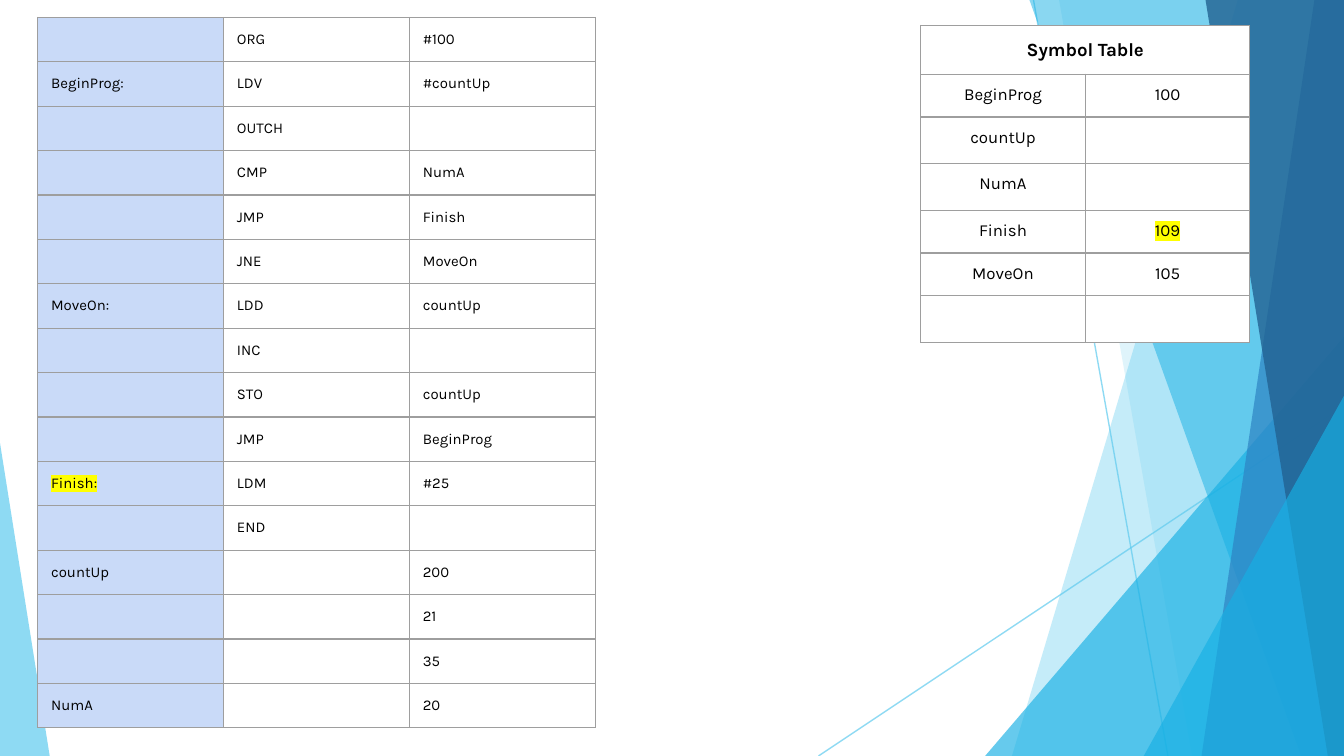
import dataclasses

import lxml.etree
import pptx
import pptx.dml.color
import pptx.enum.shapes
import pptx.enum.text
import pptx.oxml.ns
import pptx.util

Inches = pptx.util.Inches
qn = pptx.oxml.ns.qn


@dataclasses.dataclass(frozen=True)
class Theme:
    """Colours, type sizes and line weights of the slide."""
    font: str = "Karla"
    ink: str = "000000"
    paper: str = "FFFFFF"
    label_fill: str = "C9DAF8"
    marker: str = "FFFF00"
    rule: str = "9E9E9E"
    sky: str = "5FCBEF"
    cyan: str = "17B0E4"
    blue: str = "2E83C3"
    navy: str = "226292"
    code_size: float = 8
    symbol_size: float = 9
    heading_size: float = 10
    rule_width: float = 0.75


@dataclasses.dataclass(frozen=True)
class Box:
    """A region in inches."""
    left: float
    top: float
    width: float
    height: float


THEME = Theme()
SLIDE = Box(0, 0, 10, 10 * 9 / 16)
PROGRAM = [
    ("", "ORG", "#100"),
    ("BeginProg:", "LDV", "#countUp"),
    ("", "OUTCH", ""),
    ("", "CMP", "NumA"),
    ("", "JMP", "Finish"),
    ("", "JNE", "MoveOn"),
    ("MoveOn:", "LDD", "countUp"),
    ("", "INC", ""),
    ("", "STO", "countUp"),
    ("", "JMP", "BeginProg"),
    ("Finish:", "LDM", "#25"),
    ("", "END", ""),
    ("countUp", "", "200"),
    ("", "", "21"),
    ("", "", "35"),
    ("NumA", "", "20"),
]
SYMBOLS = [
    ("BeginProg", "100"),
    ("countUp", ""),
    ("NumA", ""),
    ("Finish", "109"),
    ("MoveOn", "105"),
    ("", ""),
]
MARKED = {"Finish:", "109"}


def rgb(colour):
    """Return the RGB colour for a hex string."""
    return pptx.dml.color.RGBColor.from_string(colour)


def paint(fill, colour, opacity):
    """Give a fill a solid colour with an opacity in percent."""
    fill.solid()
    fill.fore_color.rgb = rgb(colour)
    tint = fill._xPr.find(qn("a:solidFill"))[0]
    lxml.etree.SubElement(tint, qn("a:alpha"), val=str(opacity * 1000))


def add_ray(slide, start, end):
    """Draw a thin translucent line between two points."""
    ray = slide.shapes.add_connector(
        pptx.enum.shapes.MSO_CONNECTOR.STRAIGHT, *map(Inches, start + end))
    paint(ray.line.fill, THEME.sky, 70)
    ray.line.width = pptx.util.Pt(THEME.rule_width)
    lxml.etree.SubElement(ray._element.spPr, qn("a:effectLst"))


def finish_facet(facet, colour, opacity):
    """Fill a facet and drop its outline and shadow."""
    paint(facet.fill, colour, opacity)
    facet.line.fill.background()
    facet.shadow.inherit = False


def add_band(slide, box, top_x, bottom_x, colour, opacity):
    """Fill the box to the right of a slanted edge."""
    right, bottom = box.left + box.width, box.top + box.height
    corners = [(box.left + top_x, box.top), (right, box.top),
               (right, bottom), (box.left + bottom_x, bottom)]
    start, *others = [(Inches(x), Inches(y)) for x, y in corners]
    outline = slide.shapes.build_freeform(*start)
    outline.add_line_segments(others)
    finish_facet(outline.convert_to_shape(), colour, opacity)


def add_wedge(slide, box, apex, colour, opacity):
    """Draw a triangle with its apex at a share of the box width."""
    wedge = slide.shapes.add_shape(
        pptx.enum.shapes.MSO_SHAPE.ISOSCELES_TRIANGLE,
        *map(Inches, dataclasses.astuple(box)))
    wedge.adjustments[0] = apex
    finish_facet(wedge, colour, opacity)


def add_backdrop(slide, box):
    """Lay the translucent facets along both sides of the box."""
    def corner_wedge(width, height, apex, colour, opacity):
        """Place a wedge in the bottom corner under its apex."""
        left = box.left + apex * (box.width - width)
        top = box.top + box.height - height
        add_wedge(slide, Box(left, top, width, height), apex, colour, opacity)

    right, bottom = box.left + box.width, box.top + box.height
    add_ray(slide, (box.left + 7.69, box.top), (box.left + 8.69, bottom))
    add_ray(slide, (right, box.top + 3.02), (box.left + 6.09, bottom))
    add_band(slide, box, 9.21, 7.53, THEME.sky, 36)
    add_band(slide, box, 7.88, 8.87, THEME.sky, 20)
    corner_wedge(2.67, 3.12, 1, THEME.cyan, 66)
    add_band(slide, box, 7.66, 9.68, THEME.cyan, 50)
    add_band(slide, box, 9.78, 8.94, THEME.blue, 70)
    add_band(slide, box, 8.97, 9.88, THEME.navy, 80)
    corner_wedge(1.49, 2.68, 1, THEME.cyan, 66)
    corner_wedge(0.37, 2.33, 0, THEME.sky, 70)


def add_grid(slide, box, row_heights, column_count):
    """Add a plain table with equal columns and rows that grow to fit."""
    frame = slide.shapes.add_table(
        len(row_heights), column_count,
        *map(Inches, dataclasses.astuple(box)))
    table = frame.table
    table.first_row = table.horz_banding = False
    for column in table.columns:
        column.width = Inches(box.width / column_count)
    for row, height in zip(table.rows, row_heights):
        row.height = Inches(height)
    frame.height = Inches(box.height)
    return table


def fill_cell(cell, words, size, fill, bold=False, align=None, spacing=None):
    """Write and format one bordered cell."""
    cell.margin_left = cell.margin_right = Inches(0.1)
    cell.margin_top = cell.margin_bottom = Inches(0.1)
    properties = cell._tc.get_or_add_tcPr()
    for side in ("a:lnL", "a:lnR", "a:lnT", "a:lnB"):
        border = lxml.etree.SubElement(
            properties, qn(side), w=str(pptx.util.Pt(THEME.rule_width)))
        stroke = lxml.etree.SubElement(border, qn("a:solidFill"))
        lxml.etree.SubElement(stroke, qn("a:srgbClr"), val=THEME.rule)
    cell.fill.solid()
    cell.fill.fore_color.rgb = rgb(fill)
    cell.text_frame.text = words
    paragraph = cell.text_frame.paragraphs[0]
    if not words:
        ending = lxml.etree.SubElement(
            paragraph._p, qn("a:endParaRPr"), sz=str(int(size * 100)))
        lxml.etree.SubElement(ending, qn("a:latin"), typeface=THEME.font)
        return
    paragraph.alignment = align
    paragraph.line_spacing = spacing
    for run in paragraph.runs:
        run.font.size = pptx.util.Pt(size)
        run.font.name = THEME.font
        run.font.bold = bold
        run.font.color.rgb = rgb(THEME.ink)
        if words in MARKED:
            highlight = lxml.etree.Element(qn("a:highlight"))
            lxml.etree.SubElement(highlight, qn("a:srgbClr"), val=THEME.marker)
            run._r.rPr.find(qn("a:solidFill")).addnext(highlight)


def add_program(slide, box):
    """Place the assembly listing with its shaded label column."""
    listing = add_grid(slide, box, [0.28] * len(PROGRAM), 3)
    for r, line in enumerate(PROGRAM):
        for c, words in enumerate(line):
            fill = THEME.paper if c else THEME.label_fill
            fill_cell(listing.cell(r, c), words, THEME.code_size, fill)


def add_symbols(slide, box):
    """Place the symbol table under its merged heading."""
    symbols = add_grid(slide, box, [0.32] + [0.31] * len(SYMBOLS), 2)
    centre = pptx.enum.text.PP_ALIGN.CENTER
    symbols.cell(0, 0).merge(symbols.cell(0, 1))
    for c, words in enumerate(("Symbol Table", "")):
        fill_cell(symbols.cell(0, c), words, THEME.heading_size, THEME.paper,
                  bold=True, align=centre)
    for r, entry in enumerate(SYMBOLS, 1):
        for c, words in enumerate(entry):
            fill_cell(symbols.cell(r, c), words, THEME.symbol_size,
                      THEME.paper, align=centre, spacing=0.8)


def main():
    """Build and save the slide."""
    deck = pptx.Presentation()
    deck.slide_width, deck.slide_height = Inches(SLIDE.width), Inches(SLIDE.height)
    slide = deck.slides.add_slide(deck.slide_layouts[6])
    add_backdrop(slide, SLIDE)
    add_program(slide, Box(0.28, 0.13, 4.15, 5.33))
    add_symbols(slide, Box(6.85, 0.19, 2.45, 2.29))
    deck.save("out.pptx")


if __name__ == "__main__":
    main()
